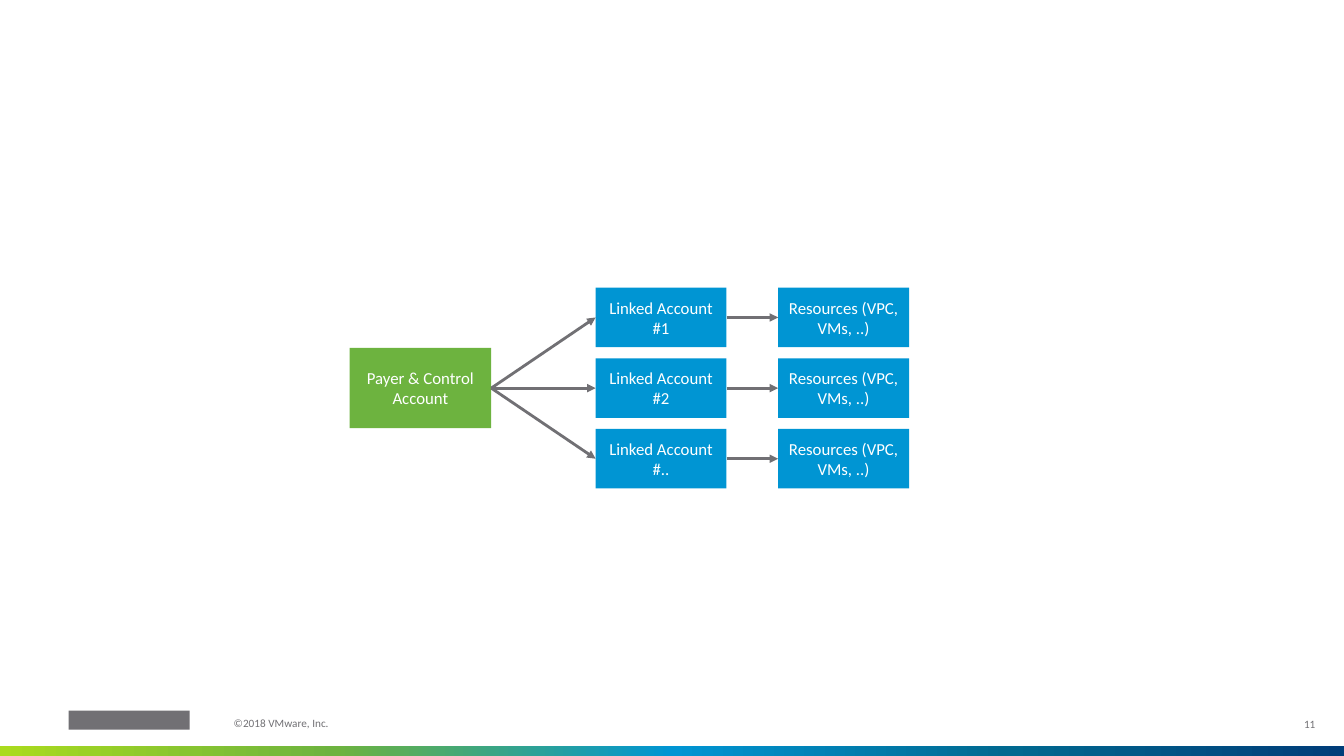
from dataclasses import dataclass

import pptx
import pptx.dml.color
import pptx.enum.shapes
import pptx.enum.text
import pptx.oxml
import pptx.oxml.ns
import pptx.util
from lxml import etree

Cm = pptx.util.Cm
Pt = pptx.util.Pt
RGBColor = pptx.dml.color.RGBColor
Align = pptx.enum.text.PP_ALIGN
Anchor = pptx.enum.text.MSO_ANCHOR
Kind = pptx.enum.shapes.MSO_SHAPE
qn = pptx.oxml.ns.qn

GREEN = RGBColor(0x6D, 0xB3, 0x3F)
BLUE = RGBColor(0x00, 0x95, 0xD3)
GREY = RGBColor(0x71, 0x70, 0x74)
WHITE = RGBColor(0xFF, 0xFF, 0xFF)
LIME = RGBColor(0xAA, 0xDB, 0x1E)
TEAL = RGBColor(0x00, 0x69, 0x90)
NAVY = RGBColor(0x00, 0x3D, 0x79)

FONT = "Calibri"
LEFT, RIGHT = 1, 3  # connection sites of a rectangle
MID = 9.78  # centre line of the diagram
PITCH = 1.78  # distance between account rows


@dataclass
class Box:
    text: str
    left: float
    mid: float
    width: float
    height: float
    fill: RGBColor


@dataclass
class Note:
    text: str
    left: float
    top: float
    width: float
    height: float
    align: Align
    anchor: Anchor


def add_rect(slide, left: float, top: float, width: float, height: float):
    rect = slide.shapes.add_shape(
        Kind.RECTANGLE, Cm(left), Cm(top), Cm(width), Cm(height))
    rect.shadow.inherit = False
    rect.line.fill.background()
    return rect


def style(para, size: int, color: RGBColor, align: Align) -> None:
    para.alignment = align
    para.font.name = FONT
    para.font.size = Pt(size)
    para.font.color.rgb = color


def add_box(slide, box: Box):
    rect = add_rect(slide, box.left, box.mid - box.height / 2,
                    box.width, box.height)
    rect.fill.solid()
    rect.fill.fore_color.rgb = box.fill
    frame = rect.text_frame
    frame.word_wrap = True
    frame.vertical_anchor = Anchor.MIDDLE
    para = frame.paragraphs[0]
    para.text = box.text
    para.space_after = Pt(6)
    style(para, 12, WHITE, Align.CENTER)
    return rect


def add_note(slide, note: Note) -> None:
    frame = slide.shapes.add_textbox(
        Cm(note.left), Cm(note.top), Cm(note.width), Cm(note.height)).text_frame
    frame.word_wrap = True
    frame.vertical_anchor = note.anchor
    frame.margin_left = frame.margin_right = 0
    frame.margin_top = frame.margin_bottom = 0
    para = frame.paragraphs[0]
    para.text = note.text
    para.line_spacing = 0.9
    style(para, 8, GREY, note.align)


def add_arrow(slide, start, end) -> None:
    arrow = slide.shapes.add_connector(
        pptx.enum.shapes.MSO_CONNECTOR.STRAIGHT, 0, 0, 0, 0)
    arrow.begin_connect(start, RIGHT)
    arrow.end_connect(end, LEFT)
    arrow.line.color.rgb = GREY
    arrow.line.width = Pt(2)
    props = arrow._element.spPr
    etree.SubElement(props.find(qn("a:ln")), qn("a:tailEnd"), type="triangle")
    etree.SubElement(props, qn("a:effectLst"))


def add_band(slide, colors: list[RGBColor]) -> None:
    band = add_rect(slide, 0, 18.8, 33.87, 0.25)
    band.fill.gradient()
    band.fill.gradient_angle = 0
    stops = band._element.spPr.find(qn("a:gradFill")).find(qn("a:gsLst"))
    for stop in list(stops):
        stops.remove(stop)
    step = 100000 // (len(colors) - 1)
    for i, color in enumerate(colors):
        stop = etree.SubElement(stops, qn("a:gs"), pos=str(i * step))
        etree.SubElement(stop, qn("a:srgbClr"), val=str(color))


def main() -> None:
    deck = pptx.Presentation()
    deck.slide_width = Cm(33.87)
    deck.slide_height = Cm(19.05)
    slide = deck.slides.add_slide(deck.slide_layouts[6])

    # Footer, with a plain block for the logo
    add_band(slide, [LIME, GREEN, BLUE, TEAL, NAVY])
    mark = add_rect(slide, 1.73, 17.91, 3.05, 0.48)
    mark.fill.solid()
    mark.fill.fore_color.rgb = GREY
    notes = [
        Note("11", 31.93, 17.75, 1.22, 1.02, Align.RIGHT, Anchor.MIDDLE),
        Note("©2018 VMware, Inc.", 5.89, 18.08, 5.46, 0.41,
             Align.LEFT, Anchor.TOP),
    ]
    for note in notes:
        add_note(slide, note)

    # Payer account, linked accounts and their resources
    payer = add_box(slide, Box("Payer & Control Account",
                               8.81, MID, 3.57, 2.02, GREEN))
    for i, tag in enumerate(["#1", "#2", "#.."]):
        mid = MID + (i - 1) * PITCH
        linked = add_box(slide, Box(f"Linked Account {tag}",
                                    15.01, mid, 3.3, 1.5, BLUE))
        assets = add_box(slide, Box("Resources (VPC, VMs, ..)",
                                    19.61, mid, 3.3, 1.5, BLUE))
        add_arrow(slide, payer, linked)
        add_arrow(slide, linked, assets)

    deck.save("out.pptx")


if __name__ == "__main__":
    main()
